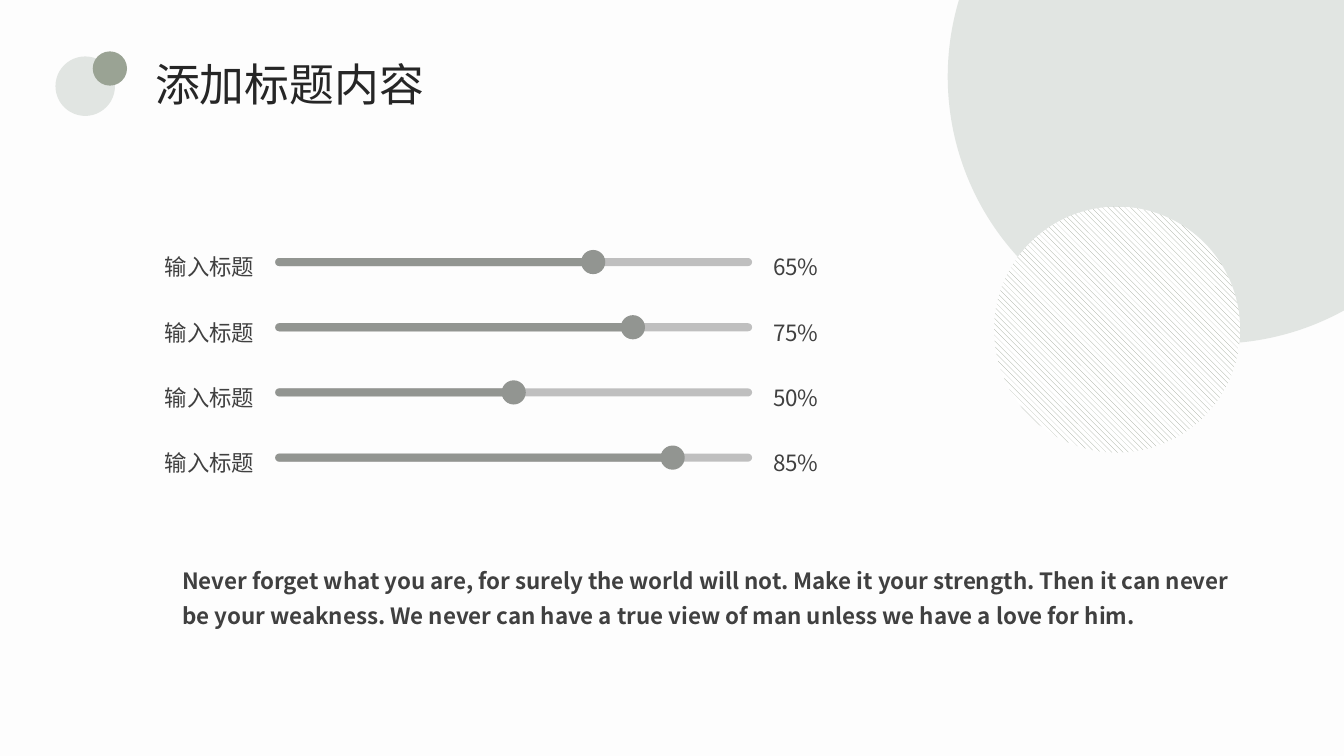
import pptx
import pptx.dml.color
import pptx.enum.dml
import pptx.enum.shapes
import pptx.enum.text
import pptx.oxml.ns
import pptx.util
from lxml import etree
from pptx.util import Inches

ELLIPSE = pptx.enum.shapes.MSO_SHAPE.OVAL
ROUNDED = pptx.enum.shapes.MSO_SHAPE.ROUNDED_RECTANGLE
LEFT = pptx.enum.text.PP_ALIGN.LEFT
RIGHT = pptx.enum.text.PP_ALIGN.RIGHT


def color(value):
    return pptx.dml.color.RGBColor.from_string(value)


def write_text(shape, text, size=16, ink="404040", bold=False, align=LEFT,
               line_spacing=None, space_after=None, wrap=False):
    frame = shape.text_frame
    frame.word_wrap = wrap
    frame.auto_size = pptx.enum.text.MSO_AUTO_SIZE.SHAPE_TO_FIT_TEXT
    paragraph = frame.paragraphs[0]
    paragraph.alignment = align
    paragraph.line_spacing = line_spacing
    paragraph.space_after = space_after
    run = paragraph.add_run()
    run.text = text
    run.font.size = pptx.util.Pt(size)
    run.font.bold = bold
    run.font.color.rgb = color(ink)
    run.font.name = SlideBuilder.font
    east_asian = etree.SubElement(run.font._element, pptx.oxml.ns.qn("a:ea"))
    east_asian.set("typeface", SlideBuilder.font)


class SlideBuilder:
    font = "Noto Sans CJK SC"
    pale = "E1E5E2"
    sage = "9AA394"
    track = "BFBFBF"
    active = "929591"

    def __init__(self, presentation):
        self.slide = presentation.slides.add_slide(presentation.slide_layouts[6])
        self.slide.background.fill.solid()
        self.slide.background.fill.fore_color.rgb = color("FDFDFD")
        self.shapes = self.slide.shapes

    def group(self):
        return self.slide.shapes.add_group_shape().shapes

    def text(self, container, text, left, top, width, height, **style):
        shape = container.add_textbox(Inches(left), Inches(top), Inches(width), Inches(height))
        write_text(shape, text, **style)

    def shape(self, container, kind, left, top, width, height, fill):
        shape = container.add_shape(kind, Inches(left), Inches(top), Inches(width), Inches(height))
        shape.shadow.inherit = False
        shape.fill.solid()
        shape.fill.fore_color.rgb = color(fill)
        shape.line.fill.background()
        return shape

    def circle(self, container, left, top, diameter, fill):
        return self.shape(container, ELLIPSE, left, top, diameter, diameter, fill)

    def bar(self, container, left, top, width, fill):
        bar = self.shape(container, ROUNDED, left, top, width, 0.08, fill)
        bar.adjustments[0] = 0.5

    def slider(self, container, top, label, percent, filled):
        left, width, knob = 2.73, 4.73, 0.24
        self.bar(container, left, top, width, self.track)
        self.bar(container, left, top, width * filled, self.active)
        self.circle(container, left + width * filled - knob / 2, top - 0.08, knob, self.active)
        style = {"line_spacing": 1.25, "space_after": pptx.util.Pt(8)}
        self.text(container, label, 1.52, top - 0.16, 1.1, 0.41, align=RIGHT, **style)
        self.text(container, percent, 7.57, top - 0.16, 0.66, 0.41, **style)

    def hatched_circle(self, left, top, diameter):
        circle = self.circle(self.shapes, left, top, diameter, self.pale)
        circle.fill.patterned()
        circle.fill.pattern = pptx.enum.dml.MSO_PATTERN.WIDE_DOWNWARD_DIAGONAL
        circle.fill.fore_color.rgb = color(self.sage)
        circle.fill.back_color.rgb = color("FFFFFF")


def main():
    presentation = pptx.Presentation()
    presentation.slide_width = Inches(13.33)
    presentation.slide_height = Inches(7.5)
    builder = SlideBuilder(presentation)

    builder.text(builder.shapes, "添加标题内容", 1.44, 0.51, 2.89, 0.64, size=32, ink="262626")
    emblem = builder.group()
    builder.circle(emblem, 0.55, 0.56, 0.59, builder.pale)
    builder.circle(emblem, 0.92, 0.51, 0.34, builder.sage)

    sliders = builder.group()
    levels = [("65%", 8 / 12), ("75%", 9 / 12), ("50%", 6 / 12), ("85%", 10 / 12)]
    for row, (percent, filled) in enumerate(levels):
        builder.slider(sliders, 2.56 + row * 1.94 / 3, "输入标题", percent, filled)

    builder.text(
        builder.shapes,
        "Never forget what you are, for surely the world will not. Make it your strength. "
        "Then it can never be your weakness. We never can have a true view of man unless "
        "we have a love for him.",
        1.71, 5.5, 10.83, 0.77, bold=True, line_spacing=pptx.util.Pt(25), wrap=True)

    builder.circle(builder.shapes, 9.4, -1.89, 5.3, builder.pale)
    builder.hatched_circle(9.86, 2.05, 2.44)
    presentation.save("out.pptx")


if __name__ == "__main__":
    main()
